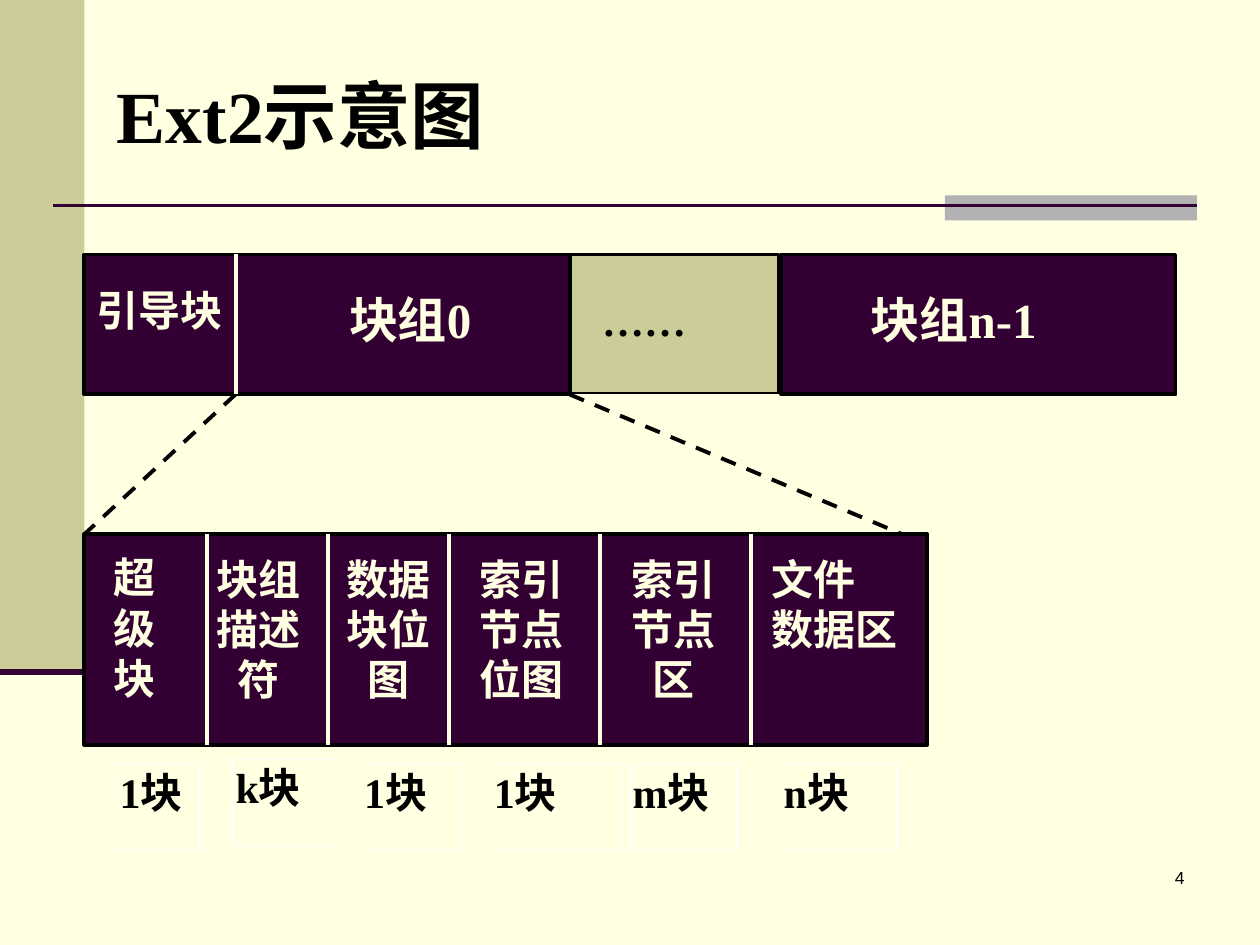
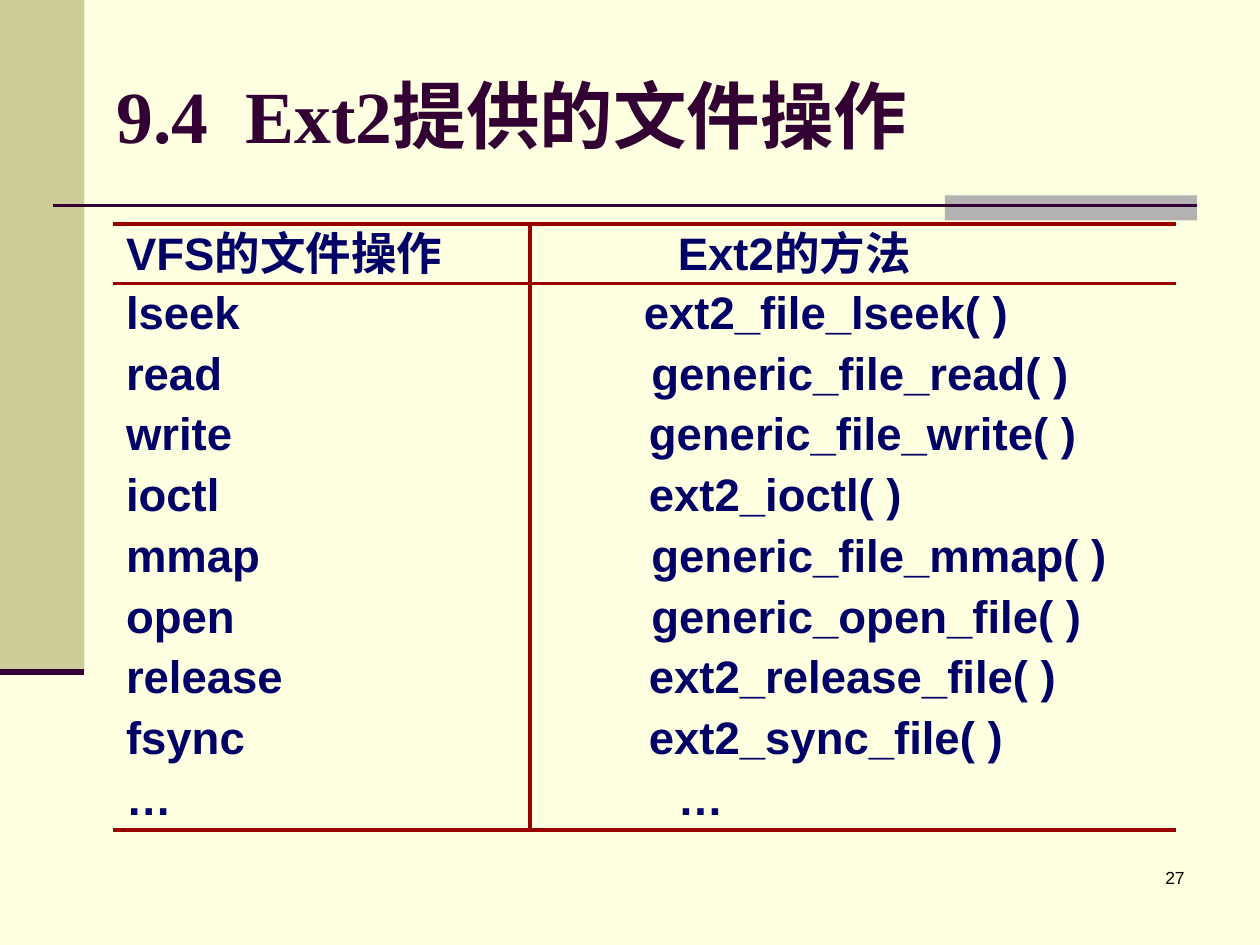
from lxml import etree
from pptx import Presentation
from pptx.dml.color import RGBColor
from pptx.enum import dml, shapes, text
from pptx.oxml import ns
from pptx.util import Inches, Pt

COLOURS = {
    "cream": "FFFFE1", "khaki": "CCCC99", "grey": "B2B2B2", "plum": "330033",
    "black": "000000", "white": "FFFFFF", "navy": "000066", "red": "990000",
}
SERIF, SANS = "Times New Roman", "Arial"
ALIGN = text.PP_ALIGN

# Text formats
TITLE = {"name": SERIF, "size": Pt(42), "bold": True}
GROUP = {"name": SERIF, "size": Pt(28), "bold": True}
LABEL = {"name": SERIF, "size": Pt(24), "bold": True}
TABLE = {"name": SANS, "size": Pt(26), "bold": True}
NUMBER = {"name": SANS, "size": Pt(10), "bold": False}

# Regions: left, top, width, height
TITLE_BOX = (0.83, 0.28, 8.5, 1.25)
NUMBER_BOX = (7.42, 6.83, 2.08, 0.5)
DISK_BOX = (0.67, 2.02, 8.66, 1.11)
GROUP_BOX = (0.67, 4.24, 6.69, 1.67)
TABLE_BOX = (0.9, 1.78, 8.43, 4.81)

# Block group parts: label lines, label offset, width, height, alignment
GROUP_PARTS = [
    (["超", "级", "块"], 0.23, 0.55, 1.42, ALIGN.JUSTIFY),
    (["块组描述", "符"], 1.02, 0.72, 1.35, ALIGN.CENTER),
    (["数据块位图"], 1.94, 0.94, 1.36, ALIGN.CENTER),
    (["索引节点位图"], 2.99, 0.96, 1.26, ALIGN.CENTER),
    (["索引节点区"], 4.25, 0.85, 1.28, ALIGN.CENTER),
    (["文件", "数据区"], 5.43, 1.18, 1.23, ALIGN.JUSTIFY),
]
GROUP_DIVIDERS = [0.97, 1.93, 2.89, 4.09, 5.29]
# Block counts: text, left, top and width, measured from the group's lower left
BLOCK_COUNTS = [
    ("1块", 0.26, 0.16, 0.65), ("k块", 1.18, 0.12, 0.85),
    ("1块", 2.2, 0.16, 0.8), ("1块", 3.23, 0.16, 1.05),
    ("m块", 4.33, 0.16, 0.85), ("n块", 5.53, 0.16, 0.92),
]
# Table rows: VFS operation, Ext2 method, indent of the method
FILE_OPERATIONS = [
    ("VFS的文件操作", "Ext2的方法", 1.17),
    ("lseek", "ext2_file_lseek( )", 0.9),
    ("read", "generic_file_read( )", 0.96),
    ("write", "generic_file_write( )", 0.94),
    ("ioctl", "ext2_ioctl( )", 0.94),
    ("mmap", "generic_file_mmap( )", 0.96),
    ("open", "generic_open_file( )", 0.96),
    ("release", "ext2_release_file( )", 0.94),
    ("fsync", "ext2_sync_file( )", 0.94),
    ("…", "…", 1.17),
]
HEADER_HEIGHT, OPERATION_WIDTH = 0.47, 3.31


def colour(name):
    return RGBColor.from_string(COLOURS[name])


def write(frame, lines, style, ink, align=ALIGN.LEFT, spacing=None):
    for index, line in enumerate(lines):
        para = frame.paragraphs[0] if index == 0 else frame.add_paragraph()
        para.alignment, para.line_spacing = align, spacing
        span = para.add_run()
        span.text = line
        for key, value in style.items():
            setattr(span.font, key, value)
        span.font.color.rgb = colour(ink)


def set_frame(frame, insets, anchor):
    side, end = (Inches(inset) for inset in insets)
    settings = {
        "word_wrap": True, "vertical_anchor": anchor,
        "margin_left": side, "margin_right": side,
        "margin_top": end, "margin_bottom": end,
    }
    for key, value in settings.items():
        setattr(frame, key, value)


def add_text(page, box, lines, style, ink, align=ALIGN.LEFT,
             insets=(0.1, 0.05), anchor=text.MSO_ANCHOR.TOP):
    frame = page.shapes.add_textbox(*map(Inches, box)).text_frame
    set_frame(frame, insets, anchor)
    write(frame, lines, style, ink, align)


def add_block(page, box, fill=None, line=None, weight=0.75):
    block = page.shapes.add_shape(
        shapes.MSO_SHAPE.RECTANGLE, *map(Inches, box))
    block.shadow.inherit = False
    if fill:
        block.fill.solid()
        block.fill.fore_color.rgb = colour(fill)
    else:
        block.fill.background()
    if line:
        block.line.color.rgb = colour(line)
        block.line.width = Pt(weight)
    else:
        block.line.fill.background()
    return block


def add_label(page, box, lines, style=LABEL, fill="plum", line="plum",
              ink="cream", align=ALIGN.JUSTIFY, insets=(0.02, 0.01)):
    frame = add_block(page, box, fill, line).text_frame
    set_frame(frame, insets, text.MSO_ANCHOR.TOP)
    write(frame, lines, style, ink, align)


def add_line(page, start, end, ink, weight=2.25, dashed=False):
    line = page.shapes.add_connector(
        shapes.MSO_CONNECTOR.STRAIGHT, *map(Inches, (*start, *end)))
    line.line.color.rgb = colour(ink)
    line.line.width = Pt(weight)
    if dashed:
        line.line.dash_style = dml.MSO_LINE.DASH
    etree.SubElement(line._element.spPr, ns.qn("a:effectLst"))


def new_page(deck, title, number, ink):
    page = deck.slides.add_slide(deck.slide_layouts[6])
    page.background.fill.solid()
    page.background.fill.fore_color.rgb = colour("cream")
    # Side band and title rule
    add_block(page, (0, 0, 0.67, 5.33), "khaki")
    add_block(page, (7.5, 1.55, 2, 0.2), "grey")
    add_line(page, (0.42, 1.63), (9.5, 1.63), "plum", 1.5)
    add_line(page, (0, 5.33), (0.67, 5.33), "plum", 3.5)
    # Title and page number
    add_text(page, TITLE_BOX, [title], TITLE, ink,
             anchor=text.MSO_ANCHOR.MIDDLE)
    add_text(page, NUMBER_BOX, [number], NUMBER, "black", ALIGN.RIGHT)
    return page


def draw_disk(page, box):
    left, top, width, height = box
    # Boot block and first block group
    add_block(page, (left, top, 3.85, height), "plum", "black", 2.25)
    add_label(page, (left + 0.08, top + 0.23, 1.1, 0.6), ["引导块"])
    add_line(page, (left + 1.2, top), (left + 1.2, top + height), "cream")
    add_label(page, (left + 2.08, top + 0.27, 1.31, 0.7), ["块组0"], GROUP)
    # Last block group
    add_block(page, (left + width - 3.13, top, 3.13, height),
              "plum", "black", 2.25)
    add_label(page, (left + 6.22, top + 0.27, 1.58, 0.56), ["块组n-1"], GROUP)
    # Groups between
    add_block(page, (left + 3.86, top, 1.65, 1.1), "khaki", "black", 1.5)
    add_text(page, (left + 4.09, top + 0.31, 1.2, 0.56), ["……"], LABEL,
             "black", ALIGN.JUSTIFY, (0.02, 0.01))


def draw_group(page, box):
    left, top, width, height = box
    bottom = top + height
    for count, offset, drop, span in BLOCK_COUNTS:
        add_label(page, (left + offset, bottom + drop, span, 0.68), [count],
                  fill=None, line="white", ink="black")
    add_block(page, box, "plum", "black", 2.25)
    for lines, offset, span, depth, align in GROUP_PARTS:
        insets = (0, 0) if offset == GROUP_PARTS[0][1] else (0.02, 0.01)
        add_label(page, (left + offset, top + 0.14, span, depth), lines,
                  align=align, insets=insets)
    for offset in GROUP_DIVIDERS:
        add_line(page, (left + offset, top), (left + offset, bottom), "cream")


def draw_expansion(page, disk, group):
    # Dashed lines from the first block group to its detail
    bottom = disk[1] + disk[3]
    for start, end in ((1.2, 0), (3.85, 6.49)):
        add_line(page, (disk[0] + start, bottom), (group[0] + end, group[1]),
                 "black", dashed=True)


def clear_borders(cell):
    properties = cell._tc.get_or_add_tcPr()
    for side in "LRTB":
        border = etree.SubElement(properties, ns.qn(f"a:ln{side}"))
        etree.SubElement(border, ns.qn("a:noFill"))


def draw_operations(page, box):
    left, top, width, height = box
    count = len(FILE_OPERATIONS)
    table = page.shapes.add_table(count, 2, *map(Inches, box)).table
    table.first_row = table.horz_banding = False
    table.columns[0].width = Inches(OPERATION_WIDTH)
    table.columns[1].width = Inches(width - OPERATION_WIDTH)
    row_height = (height - HEADER_HEIGHT) / (count - 1)
    for index, (operation, method, indent) in enumerate(FILE_OPERATIONS):
        header = index == 0
        table.rows[index].height = Inches(
            HEADER_HEIGHT if header else row_height)
        for column, (words, margin) in enumerate(
                ((operation, 0.1), (method, indent))):
            cell = table.cell(index, column)
            clear_borders(cell)
            cell.fill.background()
            settings = {
                "margin_left": Inches(margin), "margin_right": 0,
                "margin_top": Inches(0 if header else 0.03),
                "margin_bottom": 0,
                "vertical_anchor": text.MSO_ANCHOR.MIDDLE,
            }
            for key, value in settings.items():
                setattr(cell, key, value)
            write(cell.text_frame, [words], TABLE, "navy",
                  spacing=0.86 if header else 0.9)
    # Rules
    for drop in (0, HEADER_HEIGHT, height):
        add_line(page, (left, top + drop), (left + width, top + drop), "red")
    middle = left + OPERATION_WIDTH
    add_line(page, (middle, top), (middle, top + height), "red")


def main():
    deck = Presentation()
    deck.slide_width, deck.slide_height = Inches(10), Inches(7.5)

    page = new_page(deck, "Ext2示意图", "4", "black")
    draw_group(page, GROUP_BOX)
    draw_expansion(page, DISK_BOX, GROUP_BOX)
    draw_disk(page, DISK_BOX)

    page = new_page(deck, "9.4  Ext2提供的文件操作", "27", "plum")
    draw_operations(page, TABLE_BOX)

    deck.save("out.pptx")


if __name__ == "__main__":
    main()
